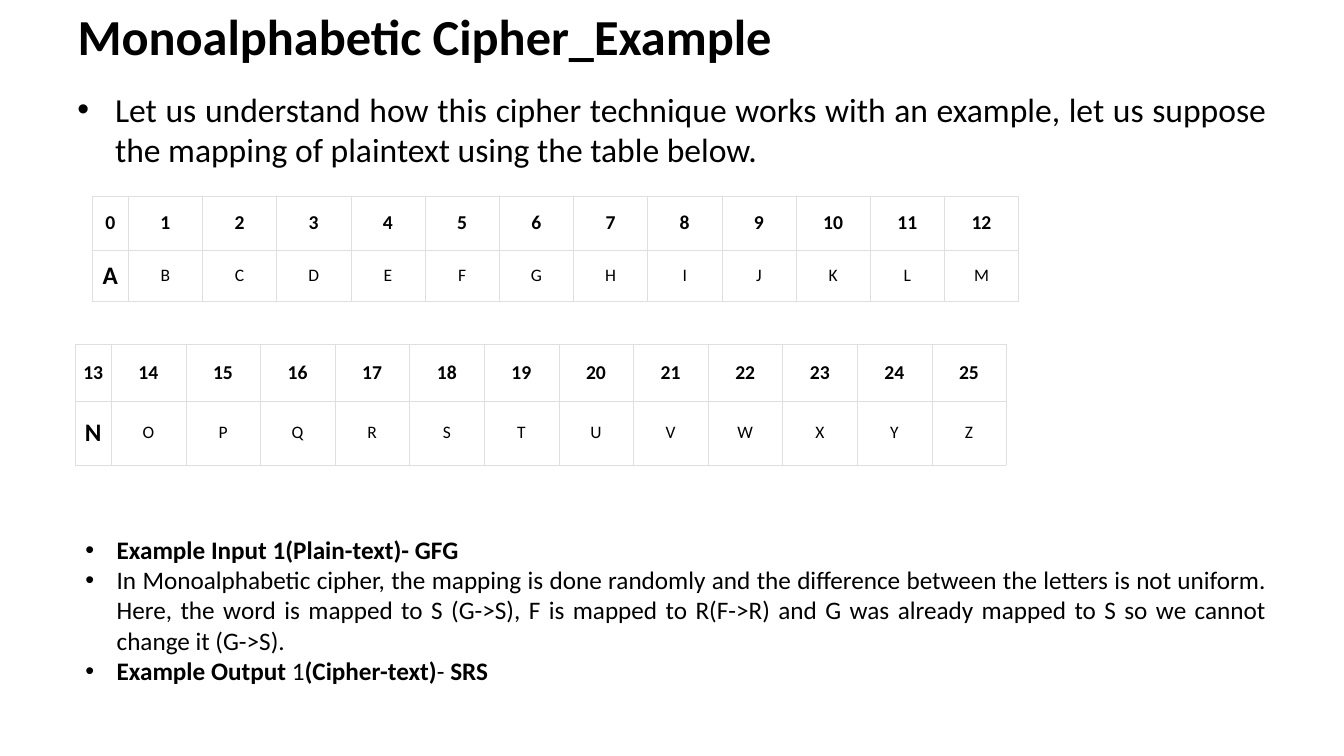
"""Builds a slide that explains the monoalphabetic cipher with an example."""
import lxml.etree
import pptx
import pptx.dml.color
import pptx.enum.text
import pptx.oxml.ns
import pptx.util

Cm = pptx.util.Cm
Pt = pptx.util.Pt
FONT = "Calibri"
COLORS = {"text": "000000", "cell": "FFFFFF", "border": "DFDFDF"}
INTRO = [[("Let us understand how this cipher technique works with an example, "
           "let us suppose the mapping of plaintext using the table below.", False)]]
EXAMPLE = [
    [("Example Input 1(Plain-text)- GFG", True)],
    [("In Monoalphabetic cipher, the mapping is done randomly and the difference "
      "between the letters is not uniform. Here, the word is mapped to S (G->S), "
      "F is mapped to R(F->R) and G was already mapped to S so we cannot change "
      "it (G->S).", False)],
    [("Example Output", True), (" 1", False), ("(Cipher-text)", True),
     ("- ", False), ("SRS", True)],
]


def rgb(name):
    return pptx.dml.color.RGBColor.from_string(COLORS[name])


def style_font(font, size, bold=None):
    font.name = FONT
    font.size = Pt(size)
    font.color.rgb = rgb("text")
    if bold is not None:
        font.bold = bold


def add_title(slide, wording):
    title = slide.shapes.title
    title.left, title.top, title.width, title.height = Cm(1.7), Cm(0), Cm(30.48), Cm(1.78)
    title.text_frame.text = wording
    title.text_frame.vertical_anchor = pptx.enum.text.MSO_ANCHOR.MIDDLE
    heading = title.text_frame.paragraphs[0]
    heading.alignment = pptx.enum.text.PP_ALIGN.LEFT
    style_font(heading.font, 36, True)


def add_bullet(paragraph, indent):
    properties = paragraph._p.get_or_add_pPr()
    properties.set("marL", str(Cm(indent)))
    properties.set("indent", str(-Cm(indent)))
    for tag, attribute, value in (("a:buFont", "typeface", "Arial"),
                                  ("a:buChar", "char", "•")):
        lxml.etree.SubElement(properties, pptx.oxml.ns.qn(tag)).set(attribute, value)


def add_bullets(slide, box, items, size, indent):
    frame = slide.shapes.add_textbox(*(Cm(length) for length in box)).text_frame
    frame.word_wrap = True
    for index, item in enumerate(items):
        paragraph = frame.add_paragraph() if index else frame.paragraphs[0]
        paragraph.alignment = pptx.enum.text.PP_ALIGN.JUSTIFY
        add_bullet(paragraph, indent)
        style_font(paragraph.font, size)
        for wording, bold in item:
            run = paragraph.add_run()
            run.text = wording
            run.font.bold = bold
    return frame


def add_borders(cell):
    properties = cell._tc.get_or_add_tcPr()
    for side in ("a:lnL", "a:lnR", "a:lnT", "a:lnB"):
        line = lxml.etree.SubElement(properties, pptx.oxml.ns.qn(side))
        line.set("w", str(Pt(0.23)))
        fill = lxml.etree.SubElement(line, pptx.oxml.ns.qn("a:solidFill"))
        lxml.etree.SubElement(fill, pptx.oxml.ns.qn("a:srgbClr")).set("val", COLORS["border"])


def fill_cell(cell, wording, size, bold, side_margin, end_margin):
    add_borders(cell)
    cell.fill.solid()
    cell.fill.fore_color.rgb = rgb("cell")
    cell.margin_left = cell.margin_right = Cm(side_margin)
    cell.margin_top = cell.margin_bottom = Cm(end_margin)
    cell.vertical_anchor = pptx.enum.text.MSO_ANCHOR.MIDDLE
    cell.text = wording
    paragraph = cell.text_frame.paragraphs[0]
    paragraph.alignment = pptx.enum.text.PP_ALIGN.CENTER
    style_font(paragraph.font, size, bold)


def add_mapping(slide, left, top, letter_width, row_heights, first_number, letters):
    widths = [0.9] + [letter_width] * (len(letters) - 1)
    mapping = slide.shapes.add_table(
        2, len(letters), Cm(left), Cm(top), Cm(sum(widths)), Cm(sum(row_heights))).table
    mapping.first_row = mapping.horz_banding = False
    for row, height in zip(mapping.rows, row_heights):
        row.height = Cm(height)
    for index, (letter, width) in enumerate(zip(letters, widths)):
        mapping.columns[index].width = Cm(width)
        leading = index == 0
        side_margin = 0.1 if leading else 0.25
        fill_cell(mapping.cell(0, index), str(first_number + index), 14, True,
                  side_margin, 0.25)
        fill_cell(mapping.cell(1, index), letter, 18 if leading else 12.5, leading,
                  side_margin, 0.14 if leading else 0.37)


def main():
    presentation = pptx.Presentation()
    presentation.slide_width, presentation.slide_height = Cm(33.87), Cm(19.05)
    slide = presentation.slides.add_slide(presentation.slide_layouts[5])
    add_title(slide, "Monoalphabetic Cipher_Example")
    add_bullets(slide, (1.7, 2.12, 30.48, 14.9), INTRO, 24, 0.95)
    add_mapping(slide, 2.33, 4.95, 1.87, (1.35, 1.29), 0, "ABCDEFGHIJKLM")
    add_mapping(slide, 1.9, 8.68, 1.88, (1.43, 1.6), 13, "NOPQRSTUVWXYZ")
    example = add_bullets(slide, (1.9, 13.34, 30.28, 4.11), EXAMPLE, 18, 0.79)
    example.auto_size = pptx.enum.text.MSO_AUTO_SIZE.SHAPE_TO_FIT_TEXT
    presentation.save("out.pptx")


if __name__ == "__main__":
    main()
